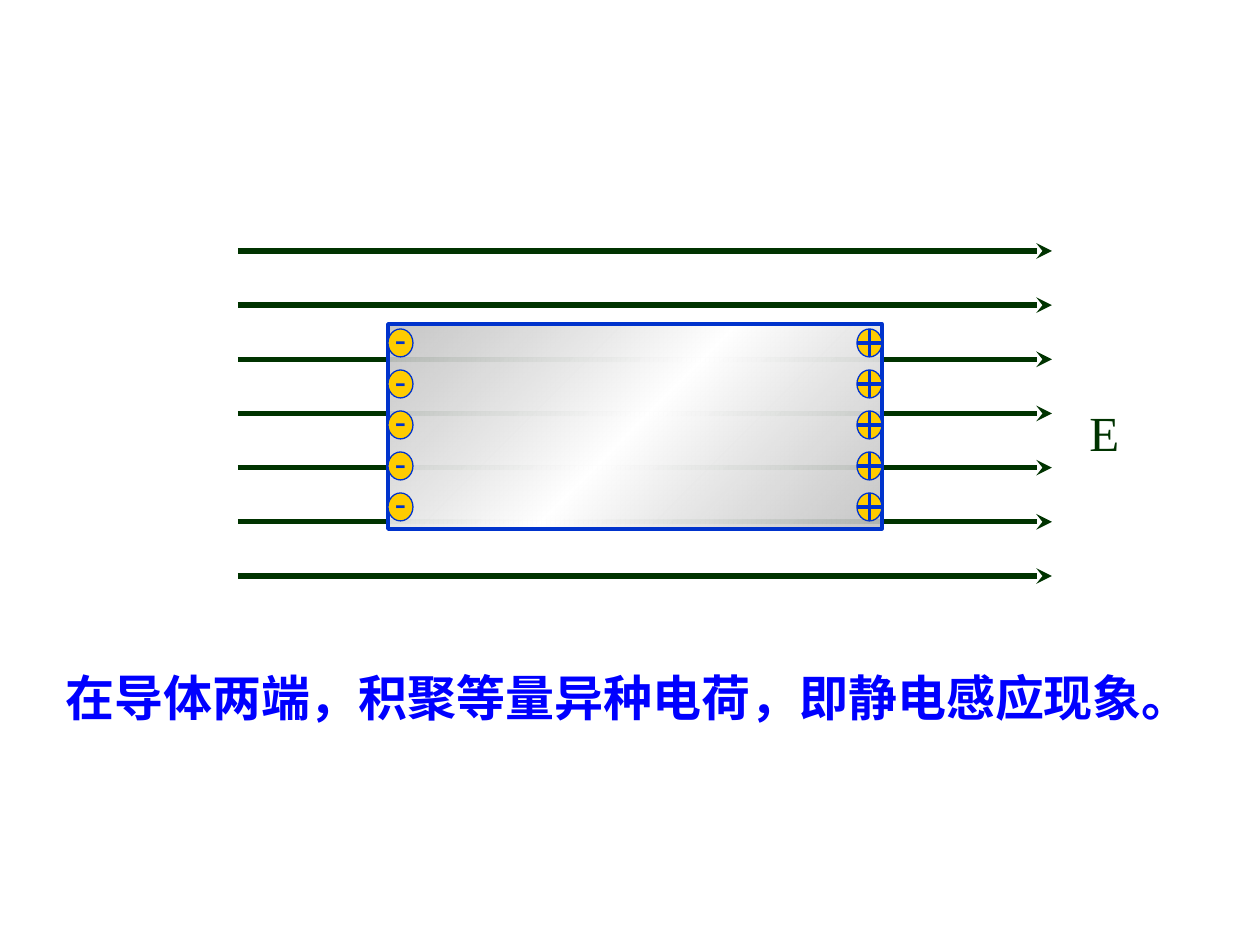
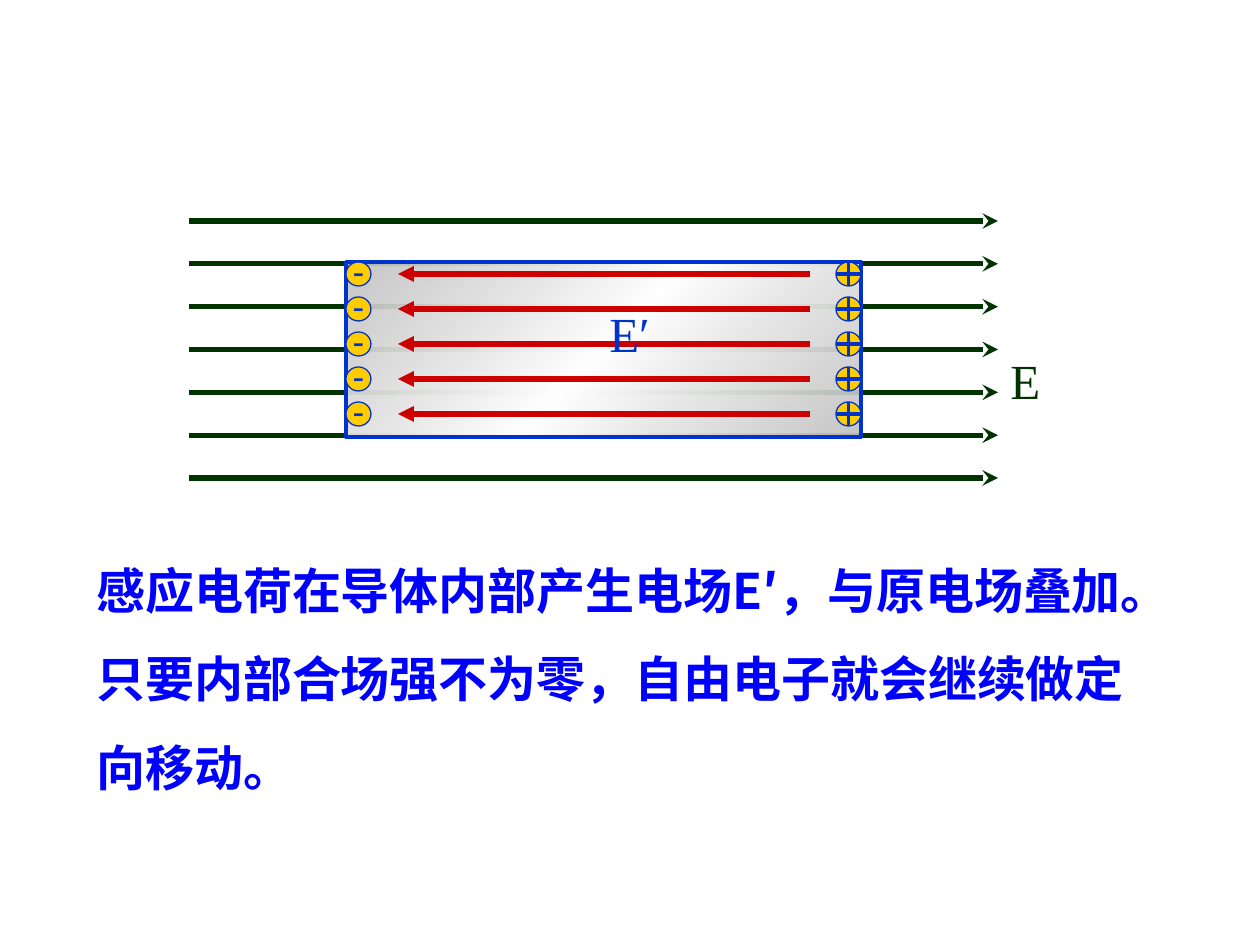
from dataclasses import dataclass

from lxml.etree import SubElement
from pptx import Presentation
from pptx.dml.color import RGBColor
from pptx.enum.shapes import MSO_CONNECTOR, MSO_SHAPE
from pptx.enum.text import MSO_ANCHOR, MSO_AUTO_SIZE, PP_ALIGN
from pptx.oxml import parse_xml
from pptx.oxml.ns import nsdecls, qn
from pptx.util import Emu, Pt


@dataclass(frozen=True)
class Theme:
    """Colours, fonts and sizes shared by both slides."""
    field: str = "003300"
    induced: str = "CC0000"
    outline: str = "0033CC"
    charge: str = "FFCC00"
    metal: str = "C0C0C0"
    shine: str = "FFFFFF"
    caption: str = "0000FF"
    serif: str = "Times New Roman"
    sans: str = "Arial"
    cjk: str = "Noto Sans CJK SC"
    text_size: int = 28
    sign_size: int = 20
    field_width: float = 3
    plate_width: float = 2
    plus_width: float = 2.25
    charge_width: float = 0.75


THEME = Theme()
PX = 914400 / 126
FIELD_LINES = 7
CHARGES = 5
CHARGE_W = 25


def px(*values):
    """Turn px lengths into EMU."""
    return [Emu(round(v * PX)) for v in values]


def rgb(value):
    """Make a colour from a hex string."""
    return RGBColor.from_string(value)


def apply(target, values):
    """Set each attribute named in a dict."""
    for name, value in values.items():
        setattr(target, name, value)


def write(tf, text, size, font, color, bold=False, para=None, frame=None):
    """Put one formatted run into a text frame."""
    apply(tf, frame or {})
    p = tf.paragraphs[0]
    apply(p, para or {})
    r = p.add_run()
    r.text = text
    apply(r.font, {"size": Pt(size), "name": font, "bold": bold})
    r.font.color.rgb = rgb(color)
    SubElement(r.font._element, qn("a:ea")).set("typeface", THEME.cjk)


def text_box(shapes, box, text, font, color, wrap=False, **style):
    """Add a text box that grows with its text."""
    s = shapes.add_textbox(*px(*box))
    frame = {"word_wrap": wrap, "auto_size": MSO_AUTO_SIZE.SHAPE_TO_FIT_TEXT}
    write(s.text_frame, text, THEME.text_size, font, color, frame=frame, **style)


def caption(shapes, box, text, font, spacing=None):
    """Add the bold explanation under the diagram."""
    text_box(shapes, box, text, font, THEME.caption, wrap=True, bold=True,
             para={"line_spacing": spacing})


def line(shapes, ends, color, width, head=None):
    """Add a straight line, with an arrowhead if one is named."""
    s = shapes.add_connector(MSO_CONNECTOR.STRAIGHT, *px(*ends))
    s.line.color.rgb = rgb(color)
    s.line.width = Pt(width)
    if head:
        SubElement(s.line._get_or_add_ln(), qn("a:tailEnd")).set("type", head)
    SubElement(s._element.spPr, qn("a:effectLst"))


def arrows(shapes, x1, x2, ys, color, head):
    """Add parallel arrows from x1 to x2."""
    for y in ys:
        line(shapes, (x1, y, x2, y), color, THEME.field_width, head)


def outlined(shapes, kind, box, width):
    """Add a preset shape with the blue outline."""
    s = shapes.add_shape(kind, *px(*box))
    s.shadow.inherit = False
    s.line.color.rgb = rgb(THEME.outline)
    s.line.width = Pt(width)
    return s


def plate(shapes, box):
    """Add the conductor with its diagonal metallic gradient."""
    s = outlined(shapes, MSO_SHAPE.RECTANGLE, box, THEME.plate_width)
    s.fill.gradient()
    grad = s._element.spPr.find(qn("a:gradFill"))
    edge = f'<a:srgbClr val="{THEME.metal}"><a:alpha val="90000"/></a:srgbClr>'
    shine = f'<a:srgbClr val="{THEME.shine}"/>'
    stops = "".join(f'<a:gs pos="{pos}">{color}</a:gs>' for pos, color in
                    ((0, edge), (50000, shine), (100000, edge)))
    grad.replace(grad.find(qn("a:gsLst")),
                 parse_xml(f'<a:gsLst {nsdecls("a")}>{stops}</a:gsLst>'))
    apply_angle = grad.find(qn("a:lin"))
    apply_angle.set("ang", "2700000")


def charge(shapes, x, y, h):
    """Add one yellow charge disc."""
    s = outlined(shapes, MSO_SHAPE.OVAL, (x, y, CHARGE_W, h), THEME.charge_width)
    s.fill.solid()
    s.fill.fore_color.rgb = rgb(THEME.charge)
    return s


def negative(shapes, x, y, h):
    """Add a disc with a minus sign."""
    s = charge(shapes, x, y, h)
    write(s.text_frame, "-", THEME.sign_size, THEME.sans, THEME.outline,
          para={"alignment": PP_ALIGN.CENTER, "line_spacing": 0.8},
          frame={"word_wrap": False, "vertical_anchor": MSO_ANCHOR.MIDDLE})


def positive(shapes, x, y, h):
    """Add a disc with a cross drawn over it."""
    charge(shapes, x, y, h)
    cx, cy = x + CHARGE_W / 2, y + h / 2
    for ends in ((cx, y, cx, y + h), (x, cy, x + CHARGE_W, cy)):
        line(shapes, ends, THEME.outline, THEME.plus_width)


def field(slide, x1, x2, top, bottom, label_at):
    """Add the external field lines and their label E."""
    step = (bottom - top) / (FIELD_LINES - 1)
    ys = [top + i * step for i in range(FIELD_LINES)]
    arrows(slide.shapes.add_group_shape().shapes, x1, x2, ys, THEME.field, "stealth")
    text_box(slide.shapes, (*label_at, 55, 72), "E", THEME.serif, THEME.field)


def conductor(slide, box, first, pitch, h):
    """Add the conductor with charges on both ends; return its shapes."""
    shapes = slide.shapes.add_group_shape().shapes
    plate(shapes, box)
    left, right = box[0], box[0] + box[2] - CHARGE_W
    for draw, x in ((negative, left), (positive, right)):
        for i in range(CHARGES):
            draw(shapes, x, first + i * pitch, h)
    return shapes


def induction_slide(slide):
    """Show charge gathering at both ends of the conductor."""
    field(slide, 238, 1052, 251, 576, (1077, 396))
    conductor(slide, (388, 324, 494, 205), 329, 41, 28)
    caption(slide.shapes, (53, 661, 1113, 72),
            "在导体两端，积聚等量异种电荷，即静电感应现象。", THEME.sans)


def induced_field_slide(slide):
    """Show the field of the induced charges inside the conductor."""
    first, pitch, h = 262, 35, 24
    field(slide, 189, 998, 221, 478, (998, 344))
    caption(slide.shapes, (84, 525, 1071, 277),
            "感应电荷在导体内部产生电场E′，与原电场叠加。"
            "只要内部合场强不为零，自由电子就会继续做定向移动。", THEME.cjk, 1.5)
    shapes = conductor(slide, (346, 262, 515, 175), first, pitch, h)
    ys = [first + h / 2 + i * pitch for i in range(CHARGES)]
    arrows(shapes, 810, 398, ys, THEME.induced, "triangle")
    text_box(shapes, (597, 297, 66, 72), "E′", THEME.serif, THEME.outline)


def main():
    """Build both slides and save the file."""
    prs = Presentation()
    prs.slide_width, prs.slide_height = px(1260, 945)
    for build in (induction_slide, induced_field_slide):
        build(prs.slides.add_slide(prs.slide_layouts[6]))
    prs.save("out.pptx")


if __name__ == "__main__":
    main()
